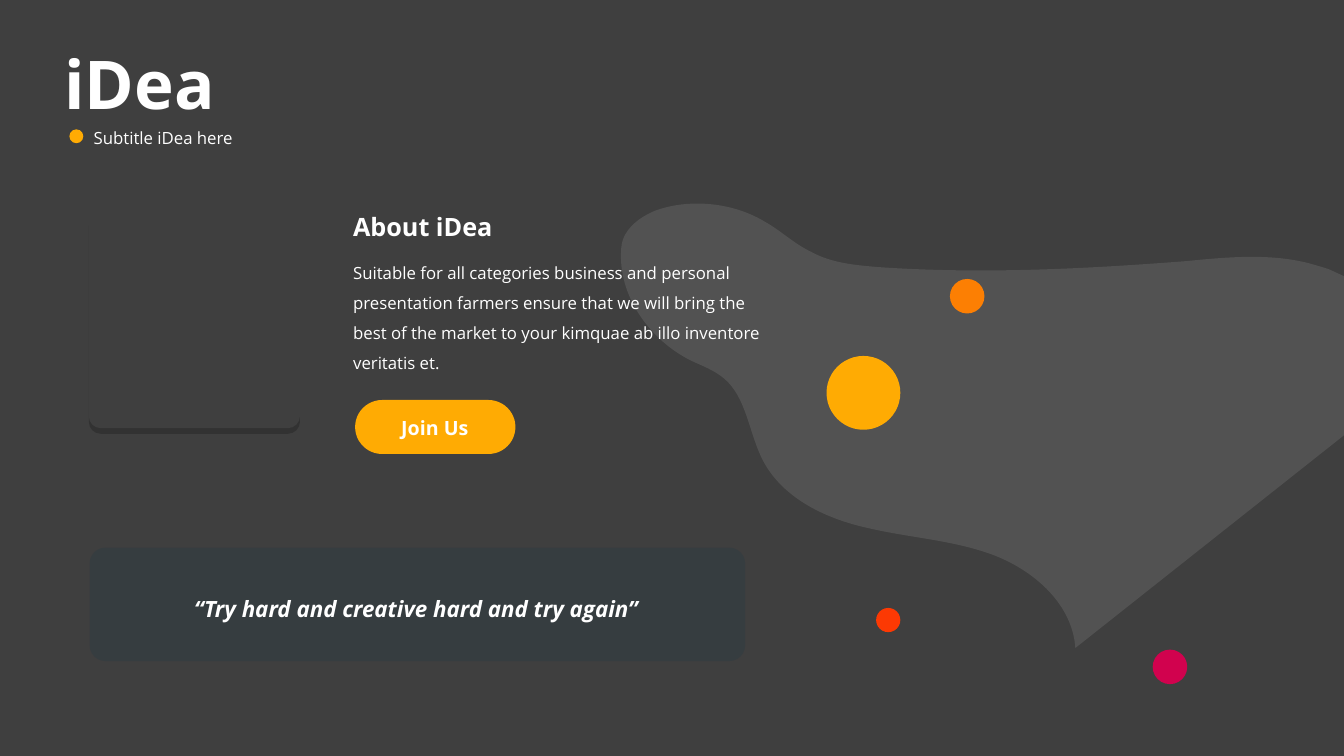
"""Build the iDea slide with its blob, card, quote banner and button."""
from lxml.etree import SubElement
from pptx import Presentation
from pptx.dml.color import RGBColor as RGB
from pptx.enum.shapes import MSO_SHAPE as Shape
from pptx.enum.text import MSO_ANCHOR as Anchor, MSO_AUTO_SIZE as Fit, PP_ALIGN as Align
from pptx.oxml.ns import qn
from pptx.util import Cm, Pt

FONT = "Open Sans"
HUES = {
    "back": "3F3F3F", "blob": "7F7F7F", "bar": "313C41", "text": "FFFFFF",
    "gold": "FFAB03", "orange": "FC7F03", "pink": "D1024E", "red": "FC3903",
    "shade": "000000",
}
SIZE = (33.87, 19.05)

MARK = (1.75, 3.26, 0.35, "gold")
DOTS = [
    (20.83, 8.97, 1.86, "gold"),
    (23.94, 7.03, 0.87, "orange"),
    (29.05, 16.37, 0.87, "pink"),
    (22.08, 15.32, 0.61, "red"),
]
BLOB = [
    [(17.58, 5.13)],
    [(18.16, 5.13), (18.77, 5.28), (19.28, 5.59)],
    [(19.69, 5.82), (20.02, 6.15), (20.45, 6.35)],
    [(20.96, 6.63), (21.54, 6.68), (22.12, 6.73)],
    [(24.71, 6.91), (27.31, 6.78), (29.9, 6.58)],
    [(30.91, 6.48), (31.98, 6.38), (32.97, 6.63)],
    [(33.15, 6.68), (33.32, 6.73), (33.48, 6.78)],
    [(33.87, 6.96)],
    [(33.87, 10.97)],
    [(27.1, 16.33)],
    [(27.03, 15.24), (26.09, 14.4), (25.07, 14)],
    [(24.05, 13.61), (22.96, 13.56), (21.89, 13.31)],
    [(20.83, 13.08), (19.74, 12.57), (19.23, 11.61)],
    [(18.87, 10.92), (18.82, 10.01), (18.24, 9.53)],
    [(17.98, 9.32), (17.7, 9.22), (17.42, 9.09)],
    [(16.41, 8.59), (15.62, 7.52), (15.65, 6.4)],
    [(15.65, 6.22), (15.67, 6.07), (15.75, 5.92)],
    [(15.93, 5.61), (16.21, 5.44), (16.51, 5.31)],
    [(16.87, 5.18), (17.22, 5.13), (17.58, 5.13)],
]
CARD = [
    [(2.54, 5.26)],
    [(2.37, 5.26), (2.24, 5.39), (2.24, 5.56)],
    [(2.24, 10.49)],
    [(2.24, 10.65), (2.37, 10.79), (2.54, 10.79)],
    [(7.26, 10.79)],
    [(7.42, 10.79), (7.56, 10.65), (7.56, 10.49)],
    [(7.56, 5.56)],
    [(7.56, 5.39), (7.42, 5.26), (7.26, 5.26)],
]
BUTTON = (8.95, 10.08, 4.04, 1.36)
BANNER = (2.26, 13.8, 16.52, 2.86)
HEADS = [
    ((8.65, 6.23, 10.82, 3.3),
     "Suitable for all categories business and personal presentation farmers "
     "ensure that we will bring the best of the market to your kimquae ab illo "
     "inventore veritatis et.", 12, "", 1.5),
    ((8.65, 5.19, 5.64, 1.02), "About iDea", 18, "bm", 1.0),
    ((1.37, 0.77, 16.54, 2.87), "iDea", 48, "bmf", 0.9),
    ((2.11, 3.15, 6.1, 0.71), "Subtitle iDea here", 12, "f", 0.9),
]
LABELS = [
    ((3.91, 14.53, 13.16, 1.27),
     "“Try hard and creative hard and try again”", 16, "bic", 1.5),
    ((9.6, 10.06, 2.72, 1.14), "Join Us", 14, "bc", 1.5),
]


def paint(item, hue, alpha=100):
    item.shadow.inherit = False
    item.fill.solid()
    item.fill.fore_color.rgb = RGB.from_string(HUES[hue])
    item.line.fill.background()
    if alpha < 100:
        tint = item.fill._xPr.find(qn("a:solidFill"))[0]
        SubElement(tint, qn("a:alpha"), val=str(alpha * 1000))
    return item


def add_dot(slide, x, y, width, hue):
    box = [Cm(v) for v in (x, y, width, width)]
    paint(slide.shapes.add_shape(Shape.OVAL, *box), hue)


def add_panel(slide, box, hue, bend, alpha=100):
    item = slide.shapes.add_shape(Shape.ROUNDED_RECTANGLE, *map(Cm, box))
    item.adjustments[0] = bend
    paint(item, hue, alpha)


def add_free(slide, parts, hue, alpha=100):
    ends = [(Cm(x), Cm(y)) for x, y in (part[-1] for part in parts)]
    pen = slide.shapes.build_freeform(*ends[0])
    pen.add_line_segments(ends[1:], close=True)
    item = pen.convert_to_shape()
    lines = list(item._element.iter(qn("a:lnTo")))
    for line, part in zip(lines, parts[1:]):
        if len(part) == 3:
            line.tag = qn("a:cubicBezTo")
            line.clear()
            for x, y in part:
                SubElement(line, qn("a:pt"), x=str(Cm(x) - item.left),
                           y=str(Cm(y) - item.top))
    return paint(item, hue, alpha)


def drop_shade(item):
    effects = item._element.spPr.find(qn("a:effectLst"))
    shade = SubElement(effects, qn("a:outerShdw"), blurRad="0",
                       dist=str(Pt(4)), dir="5400000", algn="t", rotWithShape="0")
    color = SubElement(shade, qn("a:srgbClr"), val=HUES["shade"])
    SubElement(color, qn("a:alpha"), val="20000")


def write(slide, box, text, size, style, gap):
    frame = slide.shapes.add_textbox(*map(Cm, box)).text_frame
    frame.word_wrap = True
    frame.auto_size = Fit.NONE if "f" in style else Fit.SHAPE_TO_FIT_TEXT
    frame.vertical_anchor = Anchor.MIDDLE if "m" in style else Anchor.TOP
    para = frame.paragraphs[0]
    para.alignment = Align.CENTER if "c" in style else Align.LEFT
    para.line_spacing = gap
    run = para.add_run()
    run.text = text
    font = run.font
    font.name, font.size = FONT, Pt(size)
    font.bold, font.italic = "b" in style, "i" in style
    font.color.rgb = RGB.from_string(HUES["text"])


def main():
    deck = Presentation()
    deck.slide_width, deck.slide_height = map(Cm, SIZE)
    slide = deck.slides.add_slide(deck.slide_layouts[6])
    back = slide.background.fill
    back.solid()
    back.fore_color.rgb = RGB.from_string(HUES["back"])

    add_dot(slide, *MARK)
    add_free(slide, BLOB, "blob", 30)
    drop_shade(add_free(slide, CARD, "back"))
    for head in HEADS:
        write(slide, *head)
    for dot in DOTS:
        add_dot(slide, *dot)
    add_panel(slide, BUTTON, "gold", 0.5)
    add_panel(slide, BANNER, "bar", 0.14, 60)
    for label in LABELS:
        write(slide, *label)
    deck.save("out.pptx")


if __name__ == "__main__":
    main()
